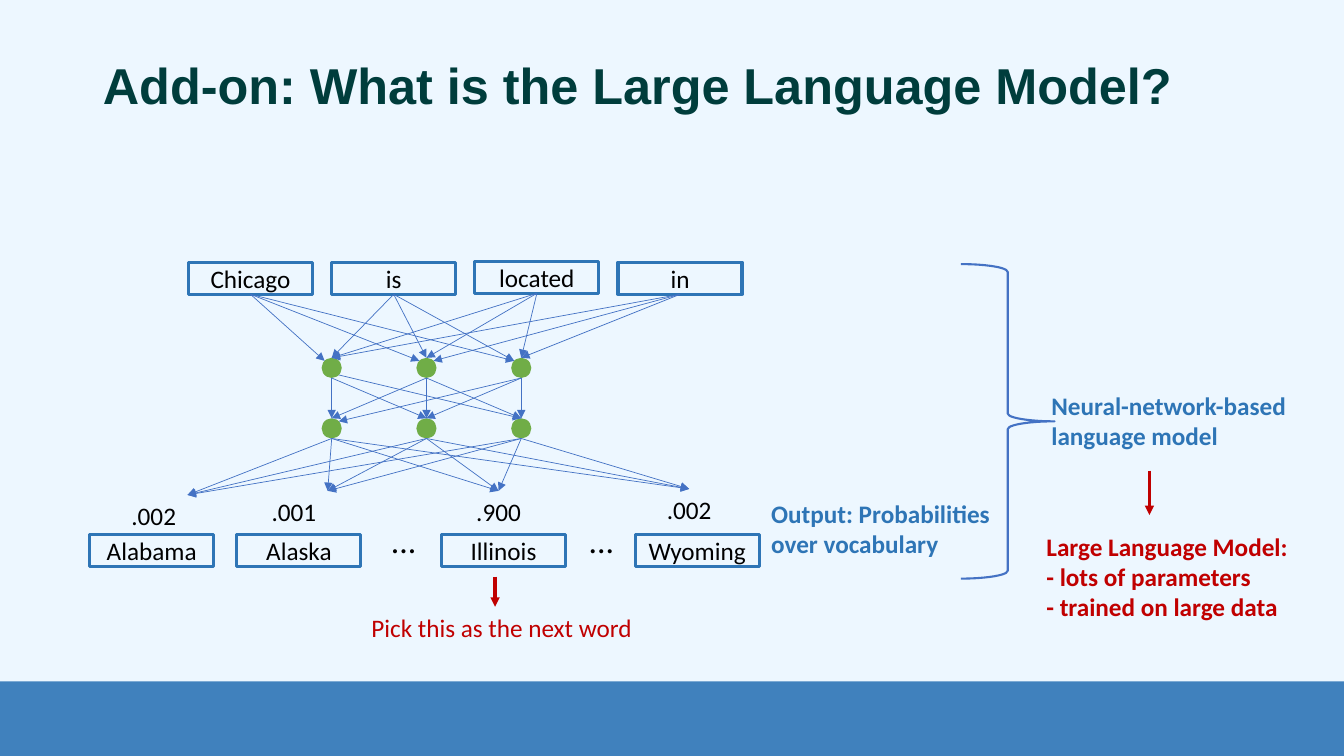
from lxml.etree import SubElement
from pptx import Presentation
from pptx.dml.color import RGBColor
from pptx.enum.shapes import MSO_CONNECTOR as Connector, MSO_SHAPE as Shape
from pptx.enum.text import MSO_ANCHOR as Anchor, MSO_AUTO_SIZE as AutoSize, PP_ALIGN as Align
from pptx.oxml.ns import qn
from pptx.util import Pt

PX = 9144
BACKGROUND, BLUE, LINK_BLUE = "EDF7FF", "2E75B6", "4472C4"
GREEN, RED, BLACK, DARK = "70AD47", "C00000", "000000", "003D3C"

TITLE = "Add-on: What is the Large Language Model?"
INPUT_WORDS = [("Chicago", 260), ("is", 260), ("located", 259), ("in", 260)]
OUTPUT_WORDS = [("Alabama", 89), ("Alaska", 235), ("Illinois", 438), ("Wyoming", 630)]
SCORES = [(".002", 119, 491), (".001", 258, 487), (".900", 461, 487), (".002", 650, 485)]
LABELS = [
    ("...", (378, 511, 77, 50), dict(size=24)),
    ("...", (574, 511, 77, 50), dict(size=24)),
    ("Neural-network-based\nlanguage model", (1033, 382, 290, 71), dict(color=BLUE, bold=True)),
    ("Output: Probabilities\nover vocabulary", (755, 489, 400, 71), dict(color=BLUE, bold=True)),
    ("Pick this as the next word", (164, 603, 667, 40), dict(color=RED, align=Align.CENTER)),
    ("Large Language Model:\n- lots of parameters\n- trained on large data",
     (1028, 522, 284, 101), dict(color=RED, bold=True)),
]
RED_ARROWS = [((491, 572), (491, 602)), ((1140, 467), (1140, 511))]

WORD_WIDTH, WORD_HEIGHT = 123, 32
INPUT_LEFT, INPUT_STEP, OUTPUT_TOP = 187, 142, 530
SCORE_WIDTH, SCORE_HEIGHT = 67, 40
NODE_XS, UPPER_Y, LOWER_Y, RADIUS = [329, 423, 517], 365, 425, 10
TOP, TOP_LEFT, TOP_RIGHT = (0, -10), (-7, -7), (7, -7)
BOTTOM, BOTTOM_RIGHT = (0, 10), (7, 7)
INPUT_ENDS = [
    [TOP_LEFT, TOP_LEFT, TOP_LEFT],
    [TOP, TOP, TOP_LEFT],
    [TOP, TOP, TOP],
    [TOP, TOP_RIGHT, TOP],
]
MIDDLE_STARTS = {(0, 2): BOTTOM_RIGHT}
MIDDLE_ENDS = {(2, 0): TOP_RIGHT}

presentation = Presentation()
presentation.slide_width, presentation.slide_height = 1333 * PX, 750 * PX
slide = presentation.slides.add_slide(presentation.slide_layouts[5])
shapes = slide.shapes


def rgb(color):
    return RGBColor.from_string(color)


def emu(*lengths):
    return [length * PX for length in lengths]


def write(shape, text, size=18, color=BLACK, bold=False, font="Calibri",
          align=Align.LEFT, anchor=Anchor.TOP, spacing=None):
    frame = shape.text_frame
    frame.word_wrap = True
    frame.auto_size = AutoSize.NONE
    frame.vertical_anchor = anchor
    paragraph = frame.paragraphs[0]
    paragraph.text = text
    paragraph.alignment = align
    paragraph.line_spacing = spacing
    for run in paragraph.runs:
        run.font.name, run.font.size, run.font.bold = font, Pt(size), bold
        run.font.color.rgb = rgb(color)


def draw(kind, box, fill=None, line=None, width=1):
    shape = shapes.add_shape(kind, *emu(*box))
    shape.shadow.inherit = False
    if fill:
        shape.fill.solid()
        shape.fill.fore_color.rgb = rgb(fill)
    else:
        shape.fill.background()
    if line:
        shape.line.color.rgb = rgb(line)
        shape.line.width = Pt(width)
    else:
        shape.line.fill.background()
    return shape


def label(text, box, **style):
    shape = shapes.add_textbox(*emu(*box))
    write(shape, text, **style)
    return shape


def word_box(text, left, top):
    shape = draw(Shape.RECTANGLE, (left, top, WORD_WIDTH, WORD_HEIGHT), BACKGROUND, BLUE, 2.25)
    write(shape, text, align=Align.CENTER, anchor=Anchor.MIDDLE)
    return shape


def arrow(start, end, color=LINK_BLUE, width=0.5):
    connector = shapes.add_connector(Connector.STRAIGHT, *emu(*start, *end))
    connector.line.color.rgb = rgb(color)
    connector.line.width = Pt(width)
    SubElement(connector.line._get_or_add_ln(), qn("a:tailEnd"), type="triangle")
    SubElement(connector._element.spPr, qn("a:effectLst"))
    return connector


def shift(point, offset):
    return point[0] + offset[0], point[1] + offset[1]


slide.background.fill.solid()
slide.background.fill.fore_color.rgb = rgb(BACKGROUND)
band = draw(Shape.RECTANGLE, (0, 676, 1333, 74), BLUE)
band_color = band._element.spPr.find(qn("a:solidFill")).find(qn("a:srgbClr"))
SubElement(band_color, qn("a:alpha"), val="90000")

title = shapes.title
title.left, title.top, title.width, title.height = emu(92, 27, 1150, 120)
write(title, TITLE, size=36, color=DARK, bold=True, font="Arial",
      anchor=Anchor.MIDDLE, spacing=0.9)

input_boxes = [word_box(word, INPUT_LEFT + INPUT_STEP * i, top)
               for i, (word, top) in enumerate(INPUT_WORDS)]
for word, left in OUTPUT_WORDS:
    word_box(word, left, OUTPUT_TOP)
score_boxes = [label(text, (left, top, SCORE_WIDTH, SCORE_HEIGHT), align=Align.CENTER)
               for text, left, top in SCORES]

upper_nodes = [(x, UPPER_Y) for x in NODE_XS]
lower_nodes = [(x, LOWER_Y) for x in NODE_XS]
for x, y in upper_nodes + lower_nodes:
    draw(Shape.OVAL, (x - RADIUS, y - RADIUS, 2 * RADIUS, 2 * RADIUS), GREEN)

for box, ends in zip(input_boxes, INPUT_ENDS):
    for node, offset in zip(upper_nodes, ends):
        arrow((0, 0), shift(node, offset)).begin_connect(box, 2)

for i, upper in enumerate(upper_nodes):
    for j, lower in enumerate(lower_nodes):
        arrow(shift(upper, MIDDLE_STARTS.get((i, j), BOTTOM)),
              shift(lower, MIDDLE_ENDS.get((i, j), TOP)))

for node in lower_nodes:
    for i, (text, left, top) in enumerate(SCORES):
        at_corner = i < 2
        reach = SCORE_WIDTH if at_corner else SCORE_WIDTH // 2
        link = arrow(shift(node, BOTTOM), (left + reach, top))
        if not at_corner:
            link.end_connect(score_boxes[i], 0)

draw(Shape.RIGHT_BRACE, (953, 262, 93, 312), line=LINK_BLUE, width=1.5)
for text, box, style in LABELS:
    label(text, box, **style)
for start, end in RED_ARROWS:
    arrow(start, end, RED, 2.25)

presentation.save("out.pptx")
